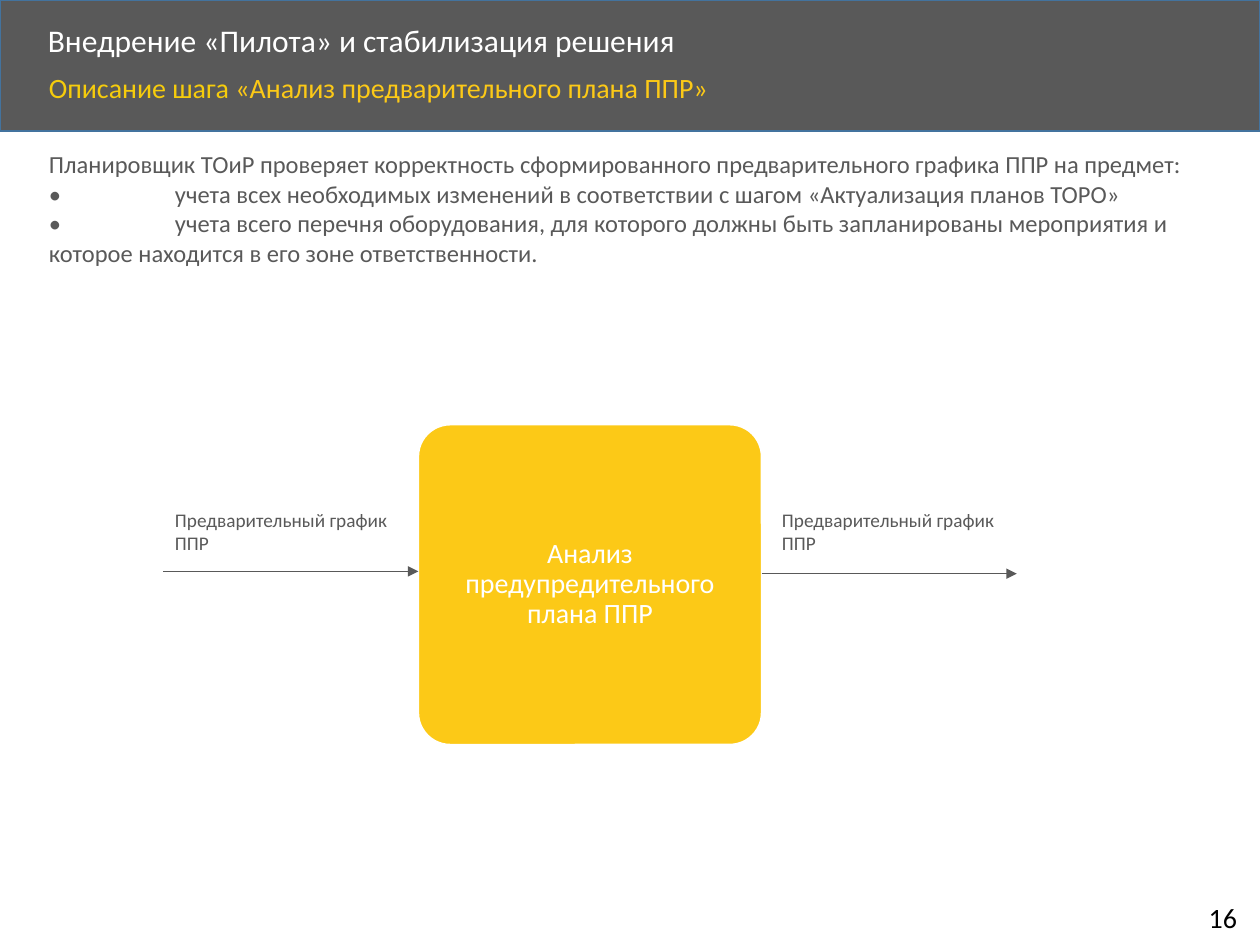
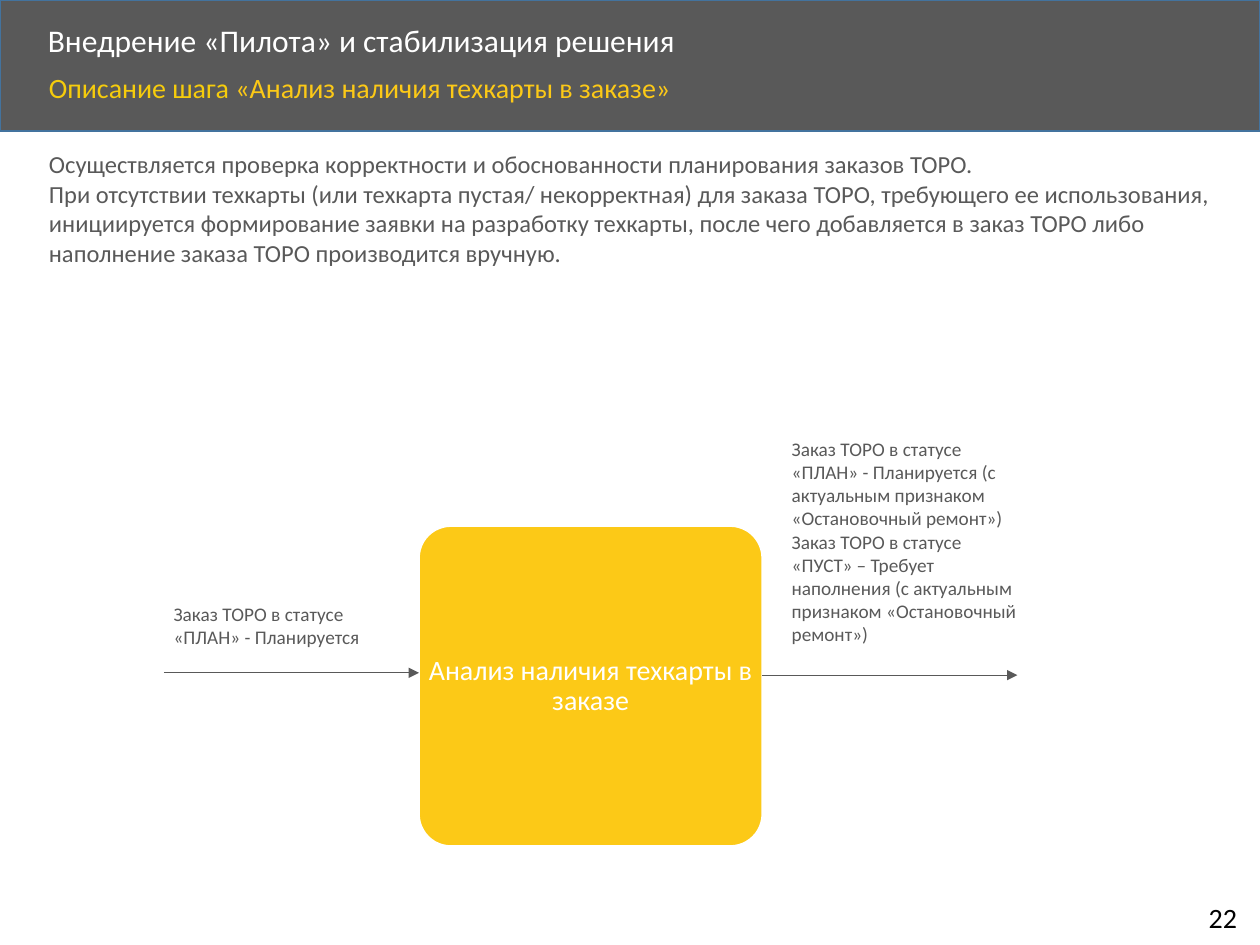
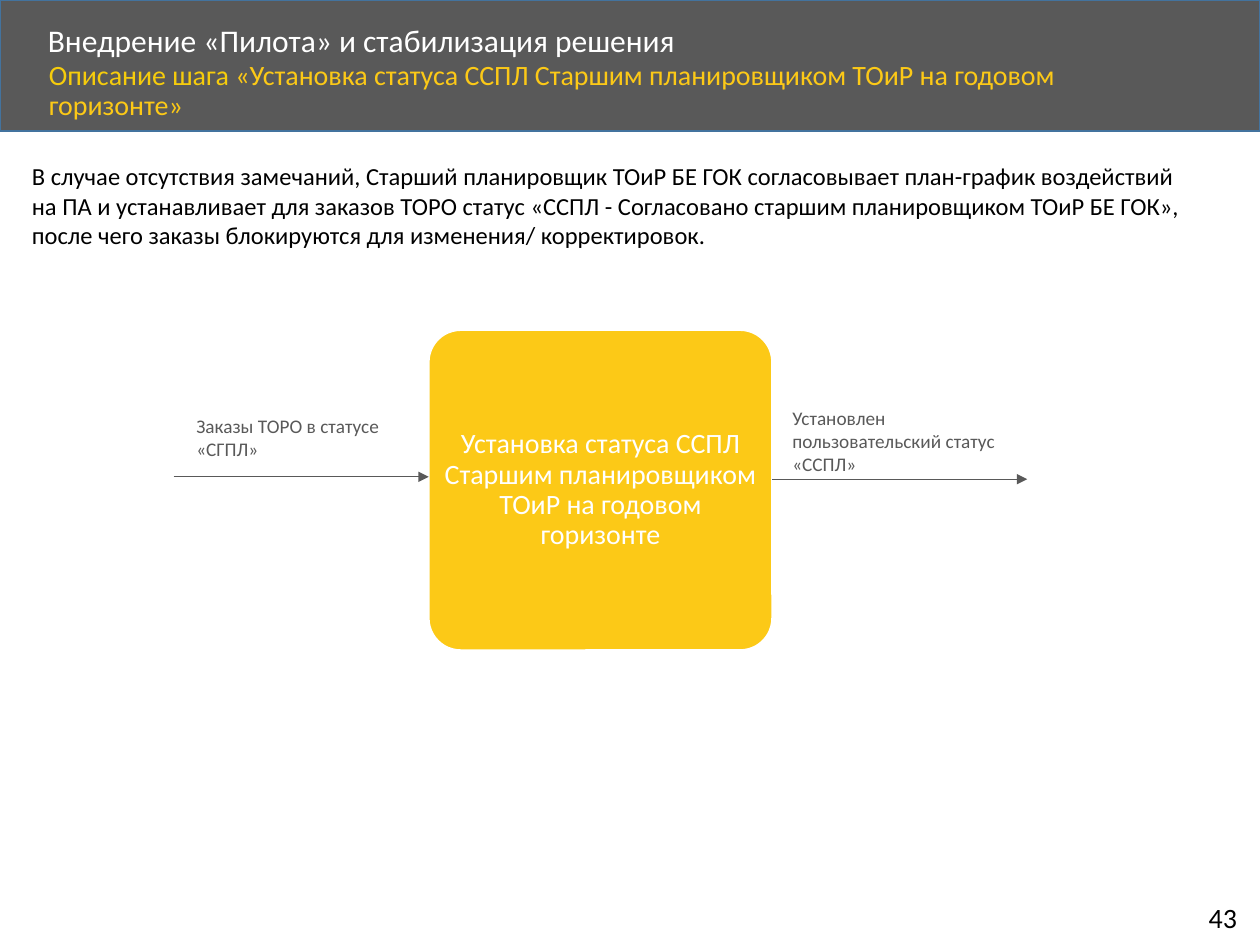
from dataclasses import dataclass

from lxml import etree
from pptx import Presentation
from pptx import util as u
from pptx.dml.color import RGBColor
from pptx.enum import shapes, text
from pptx.oxml.ns import qn


@dataclass(frozen=True)
class Theme:
    """Colours, type sizes and the font shared by all pages."""
    font: str = "Calibri"
    dark: str = "595959"
    edge: str = "43739E"
    yellow: str = "FCC917"
    lead: str = "F6CC0C"
    white: str = "FFFFFF"
    black: str = "000000"
    title: int = 18
    heading: int = 16
    body: int = 14
    label: int = 11


@dataclass(frozen=True)
class Box:
    """A rectangle in cells of a grid with 100 columns and 75 rows."""
    left: float
    top: float
    width: float
    height: float

    def inside(self, left, top, width, height):
        """Return a box placed relative to this one."""
        return Box(self.left + left, self.top + top, width, height)


@dataclass(frozen=True)
class Step:
    """The content of one process step page."""
    number: str
    heading: str
    description: list
    node: str
    incoming: list
    outgoing: list
    origin: tuple
    incoming_box: tuple
    outgoing_box: tuple
    heading_box: Box = Box(2.88, 5.4, 86.5, 4.5)
    description_box: Box = Box(2.88, 11.35, 94.6, 10.4)
    description_color: str = Theme.dark


THEME = Theme()
SLIDE_WIDTH, SLIDE_HEIGHT = u.Inches(10), u.Inches(7.5)
COLUMNS, ROWS = 100, 75
TWO_CONTENT = 3
TITLE = "Внедрение «Пилота» и стабилизация решения"
LEAD = "Описание шага "
BAND = Box(0, 0, COLUMNS, 10.4)
TITLE_BOX = Box(2.8, 1.45, 80.7, 3.8)
NUMBER_BOX = Box(94.95, 71, 4.6, 3.7)
NODE_WIDTH, NODE_HEIGHT = 27.25, 25.4
ARROW_LENGTH = 20.25
INCOMING_ROW, OUTGOING_ROW = 11.65, 11.83

STEPS = [
    Step(
        number="16",
        heading="«Анализ предварительного плана ППР»",
        description=[
            "Планировщик ТОиР проверяет корректность сформированного предварительного графика ППР на предмет:",
            "•\tучета всех необходимых изменений в соответствии с шагом «Актуализация планов ТОРО»",
            "•\tучета всего перечня оборудования, для которого должны быть запланированы мероприятия и "
            "которое находится в его зоне ответственности.",
        ],
        node="Анализ предупредительного плана ППР",
        incoming=["Предварительный график ППР"],
        outgoing=["Предварительный график ППР"],
        origin=(33.2, 33.7),
        incoming_box=(-20.3, 6.15, 20, 4.7),
        outgoing_box=(27.88, 6.15, 20, 4.7),
    ),
    Step(
        number="22",
        heading="«Анализ наличия техкарты в заказе»",
        description=[
            "Осуществляется проверка корректности и обоснованности планирования заказов ТОРО.",
            "При отсутствии техкарты (или техкарта пустая/ некорректная) для заказа ТОРО, требующего ее "
            "использования, инициируется формирование заявки на разработку техкарты, после чего добавляется "
            "в заказ ТОРО либо наполнение заказа ТОРО производится вручную.",
        ],
        node="Анализ наличия техкарты в заказе",
        incoming=["Заказ ТОРО в статусе «ПЛАН» - Планируется"],
        outgoing=[
            "Заказ ТОРО в статусе «ПЛАН» - Планируется (с актуальным признаком «Остановочный ремонт»)",
            "Заказ ТОРО в статусе «ПУСТ» – Требует наполнения (с актуальным признаком «Остановочный ремонт»)",
        ],
        origin=(33.25, 41.75),
        incoming_box=(-20.45, 5.55, 20, 4.7),
        outgoing_box=(28.6, -7.53, 20, 17.7),
    ),
    Step(
        number="43",
        heading="«Установка статуса ССПЛ Старшим планировщиком ТОиР на годовом горизонте»",
        description=[
            "В случае отсутствия замечаний, Старший планировщик ТОиР БЕ ГОК согласовывает план-график "
            "воздействий на ПА и устанавливает для заказов ТОРО статус «ССПЛ - Согласовано старшим "
            "планировщиком ТОиР БЕ ГОК», после чего заказы блокируются для изменения/ корректировок.",
        ],
        node="Установка статуса ССПЛ Старшим планировщиком ТОиР на годовом горизонте",
        incoming=["Заказы ТОРО в статусе «СГПЛ»"],
        outgoing=["Установлен пользовательский статус «ССПЛ»"],
        origin=(34.03, 26.2),
        incoming_box=(-19.43, 6.2, 20, 4.7),
        outgoing_box=(27.87, 5.55, 20, 6.6),
        heading_box=Box(2.88, 4.33, 86.7, 4.5),
        description_box=Box(1.53, 12.3, 94.6, 8.1),
        description_color=Theme.black,
    ),
]


def across(columns):
    """Convert grid columns to a length."""
    return u.Emu(round(SLIDE_WIDTH * columns / COLUMNS))


def down(rows):
    """Convert grid rows to a length."""
    return u.Emu(round(SLIDE_HEIGHT * rows / ROWS))


def frame(box):
    """Return left, top, width and height of a box as lengths."""
    return across(box.left), down(box.top), across(box.width), down(box.height)


def place(shape, box):
    """Move and resize a shape to a box."""
    shape.left, shape.top, shape.width, shape.height = frame(box)


def write(shape, paragraphs, *, size, color, align=text.PP_ALIGN.LEFT,
          anchor=text.MSO_ANCHOR.TOP, spacing=1.0, margin=None, wrap=True):
    """Fill a shape with paragraphs, each a string or a list of (text, colour) spans."""
    body = shape.text_frame
    body.word_wrap = wrap
    body.auto_size = text.MSO_AUTO_SIZE.NONE
    body.vertical_anchor = anchor
    if margin is not None:
        body.margin_left = body.margin_right = body.margin_top = body.margin_bottom = margin
    for index, content in enumerate(paragraphs):
        para = body.paragraphs[0] if index == 0 else body.add_paragraph()
        properties = para._p.get_or_add_pPr()
        for name, length in (("marL", 0), ("indent", 0), ("defTabSz", u.Inches(1))):
            properties.set(name, str(int(length)))
        etree.SubElement(properties, qn("a:buNone"))
        para.alignment = align
        para.line_spacing = spacing
        para.space_before = para.space_after = u.Pt(0)
        spans = [(content, color)] if isinstance(content, str) else content
        for words, tint in spans:
            span = para.add_run()
            span.text = words
            span.font.name = THEME.font
            span.font.size = u.Pt(size)
            span.font.color.rgb = RGBColor.from_string(tint)


def add_text(page, box, paragraphs, **style):
    """Add a text box."""
    write(page.shapes.add_textbox(*frame(box)), paragraphs, **style)


def add_block(page, kind, box, fill, line):
    """Add a filled preset shape with a thin outline."""
    block = page.shapes.add_shape(kind, *frame(box))
    block.shadow.inherit = False
    block.fill.solid()
    block.fill.fore_color.rgb = RGBColor.from_string(fill)
    block.line.color.rgb = RGBColor.from_string(line)
    block.line.width = u.Pt(1)
    return block


def add_arrow(page, left, top):
    """Add a horizontal arrow that points right."""
    arrow = page.shapes.add_connector(
        shapes.MSO_CONNECTOR.STRAIGHT,
        across(left), down(top), across(left + ARROW_LENGTH), down(top))
    arrow.line.color.rgb = RGBColor.from_string(THEME.dark)
    arrow.line.width = u.Pt(0.5)
    etree.SubElement(arrow.line._get_or_add_ln(), qn("a:tailEnd"), type="triangle")
    etree.SubElement(arrow._element.spPr, qn("a:effectLst"))


def add_master_band(deck, page):
    """Draw the header band and move it to the master behind all placeholders."""
    band = add_block(page, shapes.MSO_SHAPE.RECTANGLE, BAND, THEME.dark, THEME.edge)
    deck.slide_master.shapes._spTree.insert(2, band._element)


def add_header(page, step, heading):
    """Fill the title, the step heading and the page number."""
    place(page.shapes.title, TITLE_BOX)
    write(page.shapes.title, [TITLE], size=THEME.title, color=THEME.white,
          anchor=text.MSO_ANCHOR.MIDDLE, spacing=0.9)
    place(heading, step.heading_box)
    write(heading, [[(LEAD, THEME.lead), (step.heading, THEME.yellow)]],
          size=THEME.heading, color=THEME.yellow, spacing=0.9)
    add_text(page, NUMBER_BOX, [step.number], size=THEME.heading, color=THEME.black, wrap=False)


def add_flow(page, step, box):
    """Draw the step node with its incoming and outgoing arrows and labels."""
    node = add_block(page, shapes.MSO_SHAPE.ROUNDED_RECTANGLE, box, THEME.yellow, THEME.white)
    node.adjustments[0] = 0.1
    add_text(page, box.inside(0.6, 0.75, box.width - 1.2, box.height - 1.5), [step.node],
             size=THEME.heading, color=THEME.white, align=text.PP_ALIGN.CENTER,
             anchor=text.MSO_ANCHOR.MIDDLE, spacing=0.9, margin=u.Inches(0.01))
    add_arrow(page, box.left - ARROW_LENGTH, box.top + INCOMING_ROW)
    add_arrow(page, box.left + box.width, box.top + OUTGOING_ROW)
    for label, offset in ((step.incoming, step.incoming_box), (step.outgoing, step.outgoing_box)):
        add_text(page, box.inside(*offset), label, size=THEME.label, color=THEME.dark)


def add_step_page(page, step):
    """Compose one process step page."""
    heading, description = page.placeholders[1], page.placeholders[2]
    add_header(page, step, heading)
    place(description, step.description_box)
    write(description, step.description, size=THEME.body, color=step.description_color)
    add_flow(page, step, Box(*step.origin, NODE_WIDTH, NODE_HEIGHT))


def main():
    """Build and save the deck."""
    deck = Presentation()
    deck.slide_width, deck.slide_height = SLIDE_WIDTH, SLIDE_HEIGHT
    pages = [deck.slides.add_slide(deck.slide_layouts[TWO_CONTENT]) for _ in STEPS]
    add_master_band(deck, pages[0])
    for page, step in zip(pages, STEPS):
        add_step_page(page, step)
    deck.save("out.pptx")


if __name__ == "__main__":
    main()
